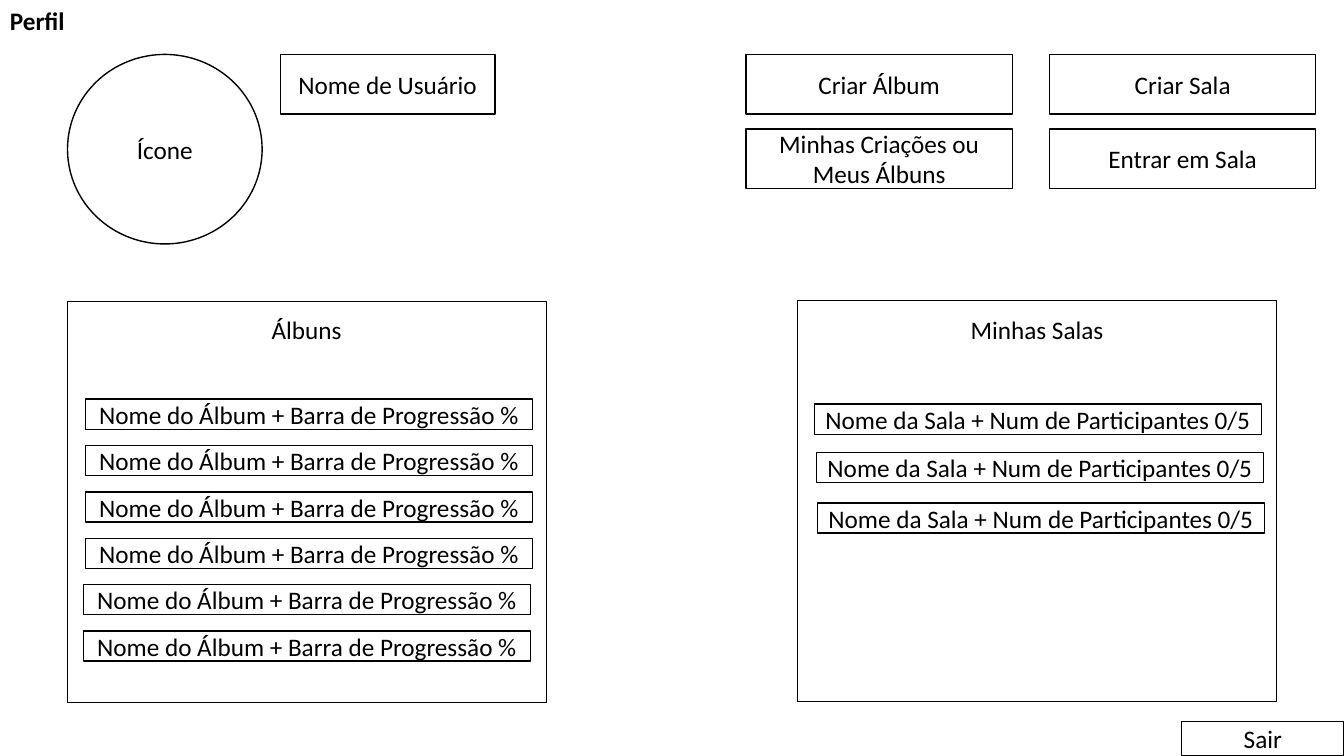
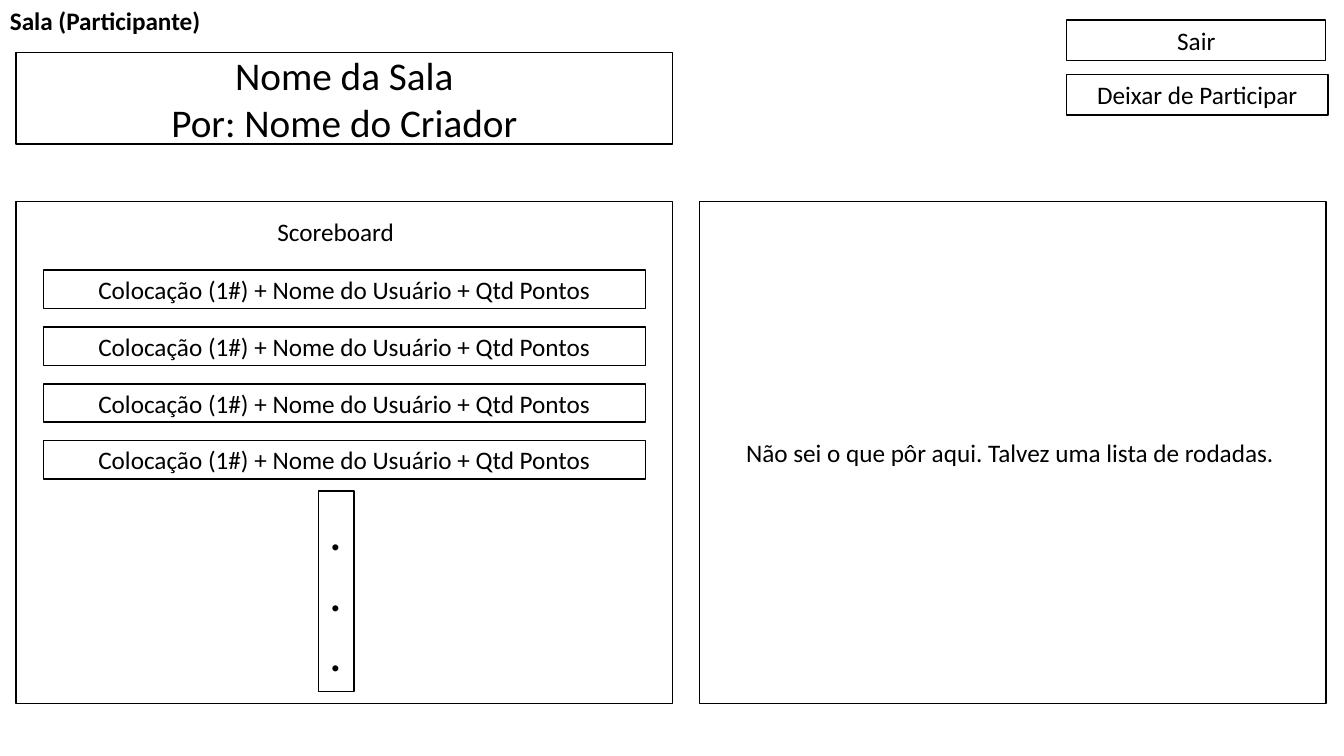
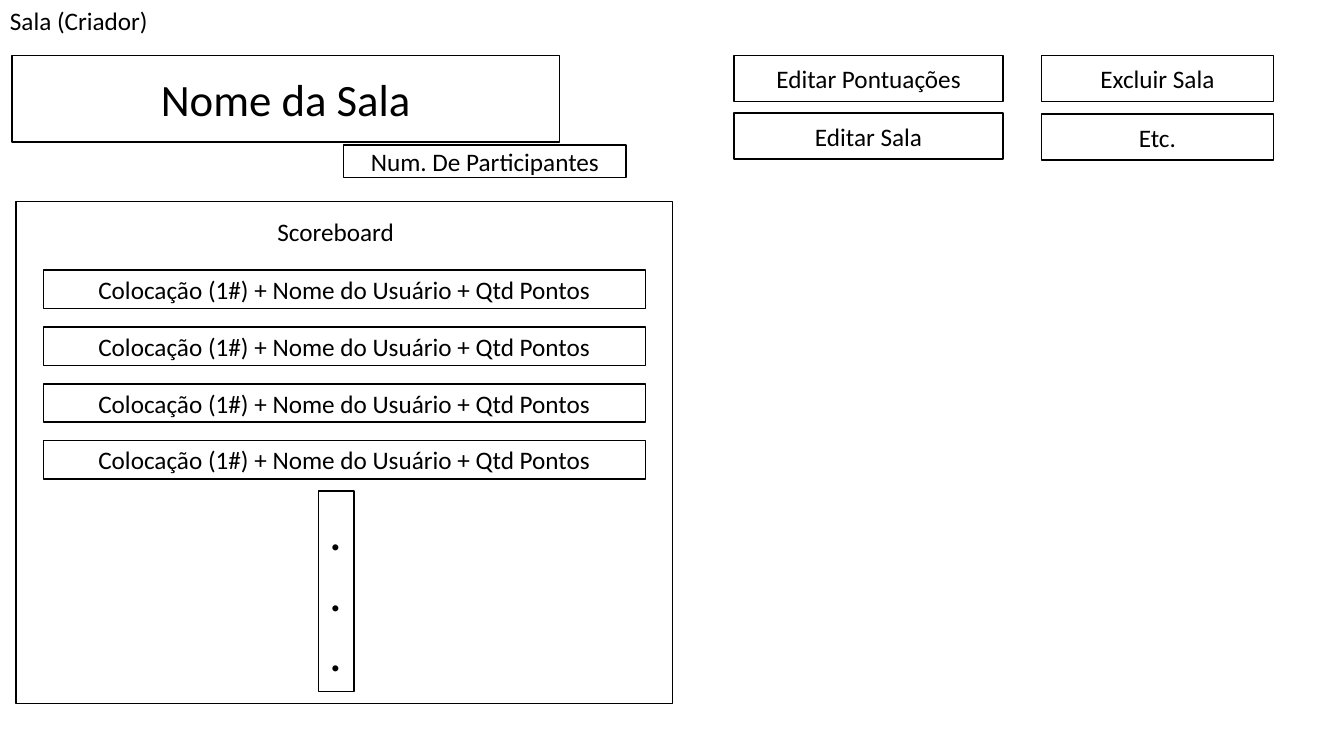
from dataclasses import dataclass

import pptx
import pptx.dml.color
import pptx.enum.shapes
import pptx.enum.text
import pptx.slide
import pptx.text.text
import pptx.util

Inches = pptx.util.Inches
Shape = pptx.enum.shapes.MSO_SHAPE
Align = pptx.enum.text.PP_ALIGN

BLACK = pptx.dml.color.RGBColor(0, 0, 0)
WHITE = pptx.dml.color.RGBColor(255, 255, 255)
FONT = "Calibri"
LABEL_H = 0.4
BLANK = 6


@dataclass(frozen=True)
class Box:
    """A place on the slide, in inches, with the text shown in it."""
    left: float
    top: float
    width: float
    height: float
    text: str = ""
    size: int = 18


def write(frame: pptx.text.text.TextFrame, text: str, *, size: int = 18,
          bold: bool = False, align: Align = Align.CENTER) -> None:
    frame.word_wrap = True
    for i, line in enumerate(text.split("\n")):
        para = frame.add_paragraph() if i else frame.paragraphs[0]
        para.alignment = align
        run = para.add_run()
        run.text = line
        run.font.name = FONT
        run.font.size = pptx.util.Pt(size)
        run.font.bold = bold
        run.font.color.rgb = BLACK


def draw(slide: pptx.slide.Slide, box: Box, kind: Shape = Shape.RECTANGLE) -> None:
    """Draw an outlined white shape with its text in the middle."""
    shape = slide.shapes.add_shape(kind, Inches(box.left), Inches(box.top),
                                   Inches(box.width), Inches(box.height))
    shape.shadow.inherit = False
    shape.fill.solid()
    shape.fill.fore_color.rgb = WHITE
    shape.line.color.rgb = BLACK
    shape.line.width = pptx.util.Pt(1)
    if box.text:
        shape.text_frame.vertical_anchor = pptx.enum.text.MSO_ANCHOR.MIDDLE
        write(shape.text_frame, box.text, size=box.size)


def label(slide: pptx.slide.Slide, left: float, top: float, width: float, text: str,
          *, bold: bool = False, align: Align = Align.CENTER) -> None:
    """Add text without an outline."""
    frame = slide.shapes.add_textbox(Inches(left), Inches(top), Inches(width),
                                     Inches(LABEL_H)).text_frame
    write(frame, text, bold=bold, align=align)
    frame.auto_size = pptx.enum.text.MSO_AUTO_SIZE.SHAPE_TO_FIT_TEXT


def start(deck: pptx.presentation.Presentation, title: str, *,
          bold: bool = True) -> pptx.slide.Slide:
    """Add a blank slide with its title in the top left corner."""
    slide = deck.slides.add_slide(deck.slide_layouts[BLANK])
    label(slide, 0, 0, 2.74, title, bold=bold, align=Align.LEFT)
    return slide


def score(slide: pptx.slide.Slide) -> None:
    """Draw the scoreboard that both room slides share."""
    draw(slide, Box(0.16, 2, 6.51, 4.98))
    label(slide, 1.36, 2.1, 3.94, "Scoreboard")
    for i in range(4):
        draw(slide, Box(0.43, 2.68 + 0.564 * i, 5.97, 0.38,
                        "Colocação (1#) + Nome do Usuário + Qtd Pontos"))
    draw(slide, Box(3.16, 4.87, 0.35, 1.99, "...", 36))


def profile(deck: pptx.presentation.Presentation) -> None:
    slide = start(deck, "Perfil")
    draw(slide, Box(0.67, 0.54, 1.93, 1.88), Shape.OVAL)
    label(slide, 0.85, 1.28, 1.57, "Ícone")
    draw(slide, Box(2.78, 0.54, 2.13, 0.59, "Nome de Usuário"))

    draw(slide, Box(0.67, 2.99, 4.75, 3.98))
    label(slide, 1.18, 3.07, 3.72, "Álbuns")
    for i, left in enumerate((0.85, 0.85, 0.85, 0.85, 0.83, 0.83)):
        draw(slide, Box(left, 3.96 + 0.46 * i, 4.43, 0.3,
                        "Nome do Álbum + Barra de Progressão %"))

    names = ("Criar Álbum", "Criar Sala",
             "Minhas Criações ou Meus Álbuns", "Entrar em Sala")
    for i, name in enumerate(names):
        row, col = divmod(i, 2)
        draw(slide, Box(7.4 + 3.01 * col, 0.54 + 0.74 * row, 2.64, 0.59, name))
    draw(slide, Box(11.72, 7.16, 1.61, 0.34, "Sair"))

    draw(slide, Box(7.91, 2.98, 4.75, 3.98))
    label(slide, 9.14, 3.07, 2.29, "Minhas Salas")
    for left, top in ((8.08, 4.01), (8.1, 4.49), (8.11, 4.99)):
        draw(slide, Box(left, top, 4.43, 0.3,
                        "Nome da Sala + Num de Participantes 0/5"))


def member(deck: pptx.presentation.Presentation) -> None:
    slide = start(deck, "Sala (Participante)")
    draw(slide, Box(0.16, 0.52, 6.51, 0.91, "Nome da Sala\nPor: Nome do Criador", 28))
    score(slide)
    for box in (
        Box(6.94, 2, 6.21, 4.98, "Não sei o que pôr aqui. Talvez uma lista de rodadas. "),
        Box(10.58, 0.2, 2.57, 0.4, "Sair"),
        Box(10.58, 0.74, 2.59, 0.4, "Deixar de Participar"),
    ):
        draw(slide, box)


def owner(deck: pptx.presentation.Presentation) -> None:
    slide = start(deck, "Sala (Criador)", bold=False)
    draw(slide, Box(0.12, 0.55, 5.43, 0.86, "Nome da Sala", 32))
    score(slide)
    for box in (
        Box(7.28, 0.55, 2.67, 0.46, "Editar Pontuações"),
        Box(7.28, 1.12, 2.67, 0.46, "Editar Sala"),
        Box(10.33, 0.55, 2.3, 0.46, "Excluir Sala"),
        Box(10.33, 1.13, 2.3, 0.46, "Etc."),
        Box(3.41, 1.44, 2.8, 0.32, "Num. De Participantes"),
    ):
        draw(slide, box)


def main() -> None:
    deck = pptx.Presentation()
    deck.slide_width = Inches(13.33)
    deck.slide_height = Inches(7.5)
    for build in (profile, member, owner):
        build(deck)
    deck.save("out.pptx")


if __name__ == "__main__":
    main()
